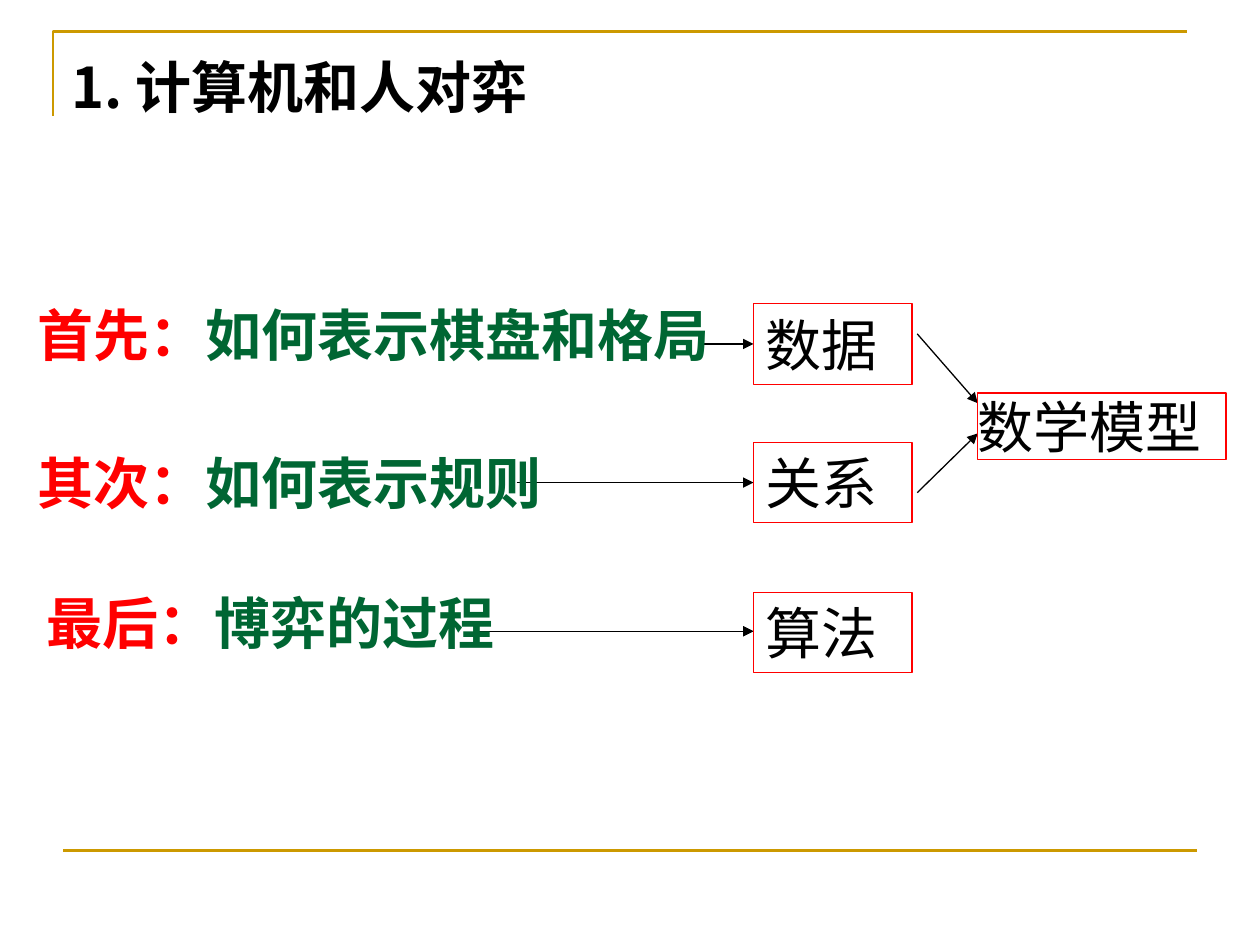
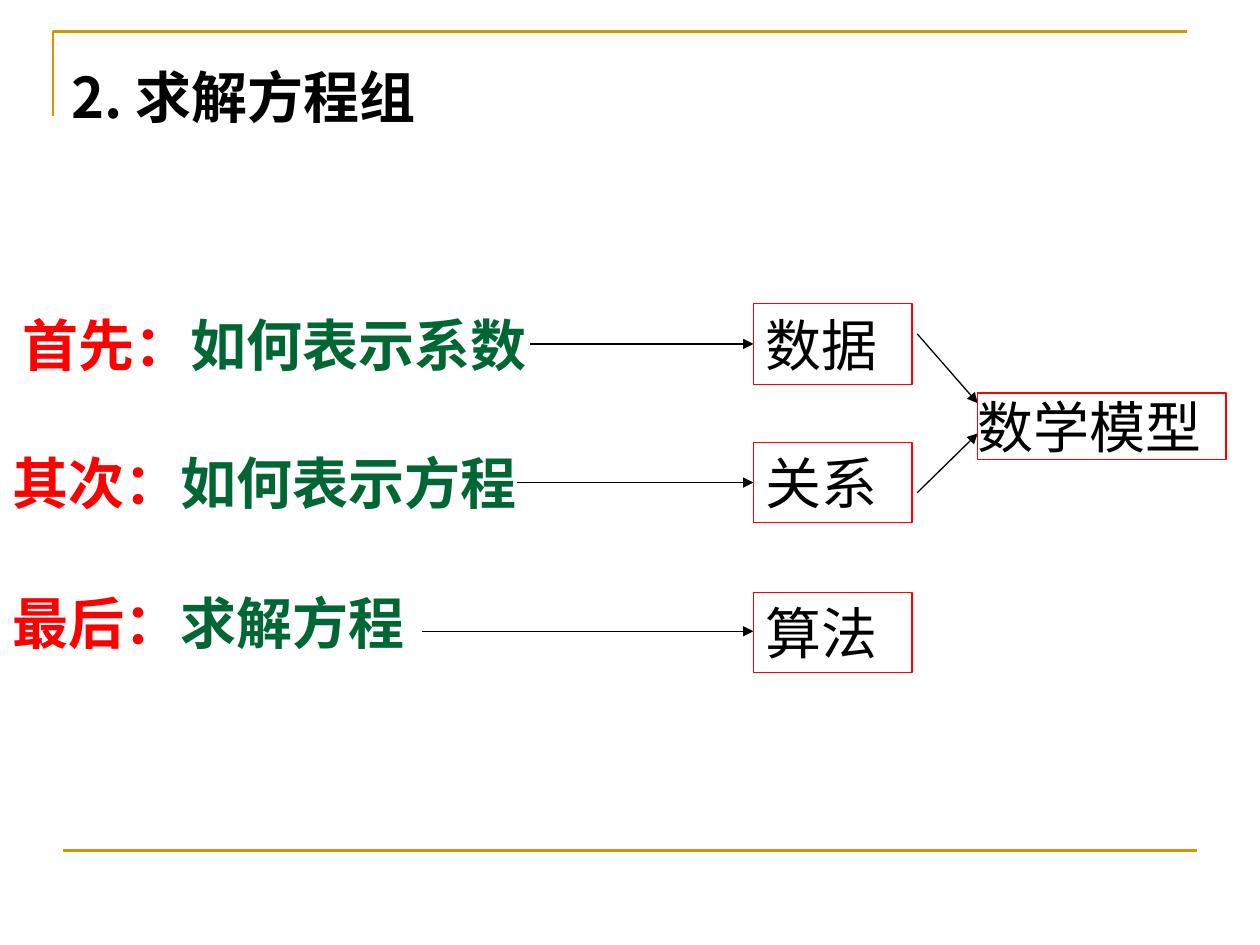
from dataclasses import dataclass

from lxml import etree
from pptx import Presentation
from pptx.dml.color import RGBColor
from pptx.enum import shapes, text
from pptx.oxml import ns
from pptx.util import Inches, Pt


@dataclass(frozen=True)
class Theme:
    gold: RGBColor = RGBColor(0xCC, 0x99, 0x00)
    red: RGBColor = RGBColor(0xFF, 0x00, 0x00)
    green: RGBColor = RGBColor(0x00, 0x66, 0x33)
    black: RGBColor = RGBColor(0x00, 0x00, 0x00)
    title_font: str = "Noto Sans CJK SC"
    body_font: str = "Arial"
    size: Pt = Pt(32)
    thin: Pt = Pt(0.75)
    rule: Pt = Pt(1.5)


ROW_HEIGHT = 0.64
TERM_LEFT, TERM_WIDTH = 5.98, 1.26
TERMS = [("数据", 2.41), ("关系", 3.51), ("算法", 4.7)]
ARROW_HEIGHTS = [2.73, 3.83, 5.01]
MODEL_LEFT = 7.76

# Each step: heading, question, left, top, width, starts of its arrows
PAGES = [
    ("1. 计算机和人对弈", 0.36, [
        ("首先：", "如何表示棋盘和格局", 0.2, 2.33, 5.67, [5.59]),
        ("其次：", "如何表示规则", 0.2, 3.51, 4.57, [4.1]),
        ("最后：", "博弈的过程", 0.27, 4.62, 3.94, [3.78, 4.13]),
    ]),
    ("2. 求解方程组", 0.44, [
        ("首先：", "如何表示系数", 0.08, 2.41, 4.61, [4.21]),
        ("其次：", "如何表示方程", 0, 3.51, 7.17, [4.1]),
        ("最后：", "求解方程", 0, 4.62, 7.17, [3.35]),
    ]),
]


class Painter:
    """Holds the deck, its theme and the page being drawn."""

    def __init__(self, theme):
        self.theme = theme
        self.deck = Presentation()
        self.deck.slide_width, self.deck.slide_height = Inches(10), Inches(7.5)
        self.page = None

    def new_page(self):
        self.page = self.deck.slides.add_slide(self.deck.slide_layouts[6])
        self.frame()

    def frame(self):
        """Draw the gold corner at the top and the gold rule at the bottom."""
        builder = self.page.shapes.build_freeform(Inches(0.42), Inches(0.92))
        builder.add_line_segments(
            [(Inches(0.42), Inches(0.25)), (Inches(9.42), Inches(0.25))], close=False)
        corner = builder.convert_to_shape()
        corner.shadow.inherit = False
        corner.fill.background()
        self.stroke(corner, self.theme.gold, self.theme.rule)
        self.line((0.5, 6.75), (9.5, 6.75), self.theme.gold, self.theme.rule)

    def stroke(self, shape, color, width):
        shape.line.color.rgb = color
        shape.line.width = width

    def line(self, start, end, color, width):
        ends = [Inches(value) for value in (*start, *end)]
        connector = self.page.shapes.add_connector(shapes.MSO_CONNECTOR.STRAIGHT, *ends)
        self.stroke(connector, color, width)
        etree.SubElement(connector._element.spPr, ns.qn("a:effectLst"))
        return connector

    def arrow(self, start, end):
        connector = self.line(start, end, self.theme.black, self.theme.thin)
        outline = connector._element.spPr.find(ns.qn("a:ln"))
        etree.SubElement(outline, ns.qn("a:tailEnd"), type="triangle")

    def fill_text(self, box, spans, font, bold=False, side=0.1):
        """Fill a box with one line of (words, colour) spans."""
        frame = box.text_frame
        frame.word_wrap = True
        frame.auto_size = text.MSO_AUTO_SIZE.NONE
        frame.vertical_anchor = text.MSO_ANCHOR.MIDDLE
        frame.margin_left = frame.margin_right = Inches(side)
        frame.margin_top = frame.margin_bottom = 0
        para = frame.paragraphs[0]
        para.alignment = text.PP_ALIGN.LEFT
        for words, color in spans:
            span = para.add_run()
            span.text = words
            span.font.name, span.font.size = font, self.theme.size
            span.font.bold = bold
            span.font.color.rgb = color
            etree.SubElement(span.font._element, ns.qn("a:ea"), typeface=font)

    def label(self, left, top, width, spans, font):
        box = self.page.shapes.add_textbox(
            Inches(left), Inches(top), Inches(width), Inches(ROW_HEIGHT))
        self.fill_text(box, spans, font, bold=True)

    def title(self, words, top):
        self.label(0.47, top, 9.53, [(words, self.theme.black)], self.theme.title_font)

    def step(self, heading, question, left, top, width):
        spans = [(heading, self.theme.red), (question, self.theme.green)]
        self.label(left, top, width, spans, self.theme.body_font)

    def term(self, words, left, top, width, height=ROW_HEIGHT, side=0.1):
        """Draw a red outlined box around a term."""
        box = self.page.shapes.add_shape(
            shapes.MSO_SHAPE.RECTANGLE,
            Inches(left), Inches(top), Inches(width), Inches(height))
        box.shadow.inherit = False
        box.fill.background()
        self.stroke(box, self.theme.red, self.theme.thin)
        self.fill_text(box, [(words, self.theme.black)], self.theme.body_font, side=side)


def main():
    painter = Painter(Theme())
    for title, title_top, steps in PAGES:
        painter.new_page()
        painter.title(title, title_top)
        for (*step, starts), (term, top), height in zip(steps, TERMS, ARROW_HEIGHTS):
            for start in starts:
                painter.arrow((start, height), (TERM_LEFT, height))
            painter.term(term, TERM_LEFT, top, TERM_WIDTH)
            painter.step(*step)
        painter.arrow((7.28, 2.65), (MODEL_LEFT, 3.2))
        painter.arrow((7.28, 3.91), (MODEL_LEFT, 3.44))
        painter.term("数学模型", MODEL_LEFT, 3.12, 1.97, height=0.53, side=0)
    painter.deck.save("out.pptx")


if __name__ == "__main__":
    main()
